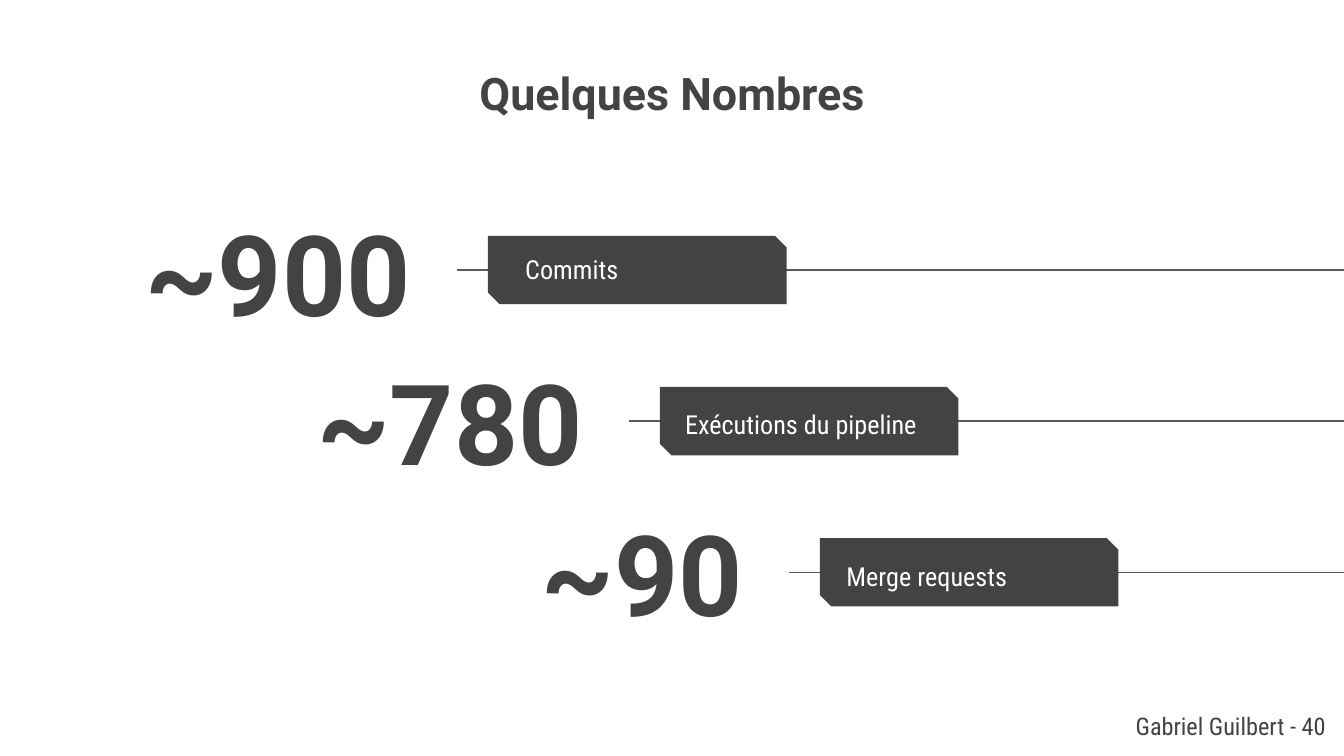
import pptx
import pptx.util
import pptx.dml.color
import pptx.enum.shapes
import pptx.enum.text
import pptx.oxml

Pt = pptx.util.Pt
MSO_ANCHOR = pptx.enum.text.MSO_ANCHOR
PP_ALIGN = pptx.enum.text.PP_ALIGN
DARK = "434343"
ROW_PITCH = 81


def color(hex_string):
    return pptx.dml.color.RGBColor.from_string(hex_string)


def write(box, text, font_name, size, text_color, align, anchor, bold=False):
    frame = box.text_frame
    frame.word_wrap = True
    frame.auto_size = pptx.enum.text.MSO_AUTO_SIZE.NONE
    frame.vertical_anchor = anchor
    frame.margin_left = frame.margin_right = Pt(7.2)
    frame.margin_top = frame.margin_bottom = Pt(7.2)
    para = frame.paragraphs[0]
    para.text = text
    para.alignment = align
    para.line_spacing = 1
    para.space_before = Pt(0)
    para.font.name = font_name
    para.font.size = Pt(size)
    para.font.bold = bold
    para.font.color.rgb = color(text_color)


deck = pptx.Presentation()
deck.slide_width = Pt(720)
deck.slide_height = Pt(405)
slide = deck.slides.add_slide(deck.slide_layouts[5])
shapes = slide.shapes

title = shapes.title
title.left, title.top, title.width, title.height = Pt(154.8), Pt(28), Pt(410.4), Pt(74)
write(title, "Quelques Nombres", "Roboto", 24, DARK, PP_ALIGN.CENTER, MSO_ANCHOR.TOP, True)

rows = [
    ("~900", "Commits", 261.4, 12.9, 28.8, 203.8, MSO_ANCHOR.MIDDLE),
    ("~780", "Exécutions du pipeline", 353.5, 6.5, 30.3, 193, MSO_ANCHOR.TOP),
    ("~90", "Merge requests", 439.2, 7.2, 30.2, 141.1, MSO_ANCHOR.TOP),
]
for index, (number, label, tag_left, indent, rise, number_width, anchor) in enumerate(rows):
    line_y = 144.6 + index * ROW_PITCH

    line = shapes.add_connector(
        pptx.enum.shapes.MSO_CONNECTOR.STRAIGHT,
        Pt(720), Pt(line_y), Pt(tag_left - 16.4), Pt(line_y))
    line.line.color.rgb = color("595959")
    line.line.width = Pt(0.75)
    line._element.spPr.append(pptx.oxml.parse_xml(
        '<a:effectLst xmlns:a="http://schemas.openxmlformats.org/drawingml/2006/main"/>'))

    number_box = shapes.add_textbox(
        Pt(tag_left - 34.2 - number_width), Pt(line_y - rise), Pt(number_width), Pt(59.8))
    write(number_box, number, "Roboto", 60, DARK, PP_ALIGN.RIGHT, MSO_ANCHOR.MIDDLE, True)

    tag = shapes.add_shape(
        pptx.enum.shapes.MSO_SHAPE.SNIP_2_DIAG_RECTANGLE,
        Pt(tag_left), Pt(line_y - 18.3), Pt(160), Pt(36.6))
    tag.adjustments[0] = 0
    tag.adjustments[1] = 0.17
    tag.shadow.inherit = False
    tag.fill.solid()
    tag.fill.fore_color.rgb = color(DARK)
    tag.line.fill.background()

    label_box = shapes.add_textbox(
        Pt(tag_left + indent), Pt(line_y - 13.8), Pt(257), Pt(26.6))
    write(label_box, label, "Roboto Condensed", 14, "FFFFFF", PP_ALIGN.LEFT, anchor)

footer = shapes.add_textbox(Pt(586.8), Pt(373.7), Pt(130.3), Pt(31))
write(footer, "Gabriel Guilbert - 40", "Roboto Condensed", 13, DARK, PP_ALIGN.RIGHT, MSO_ANCHOR.TOP)

deck.save("out.pptx")
